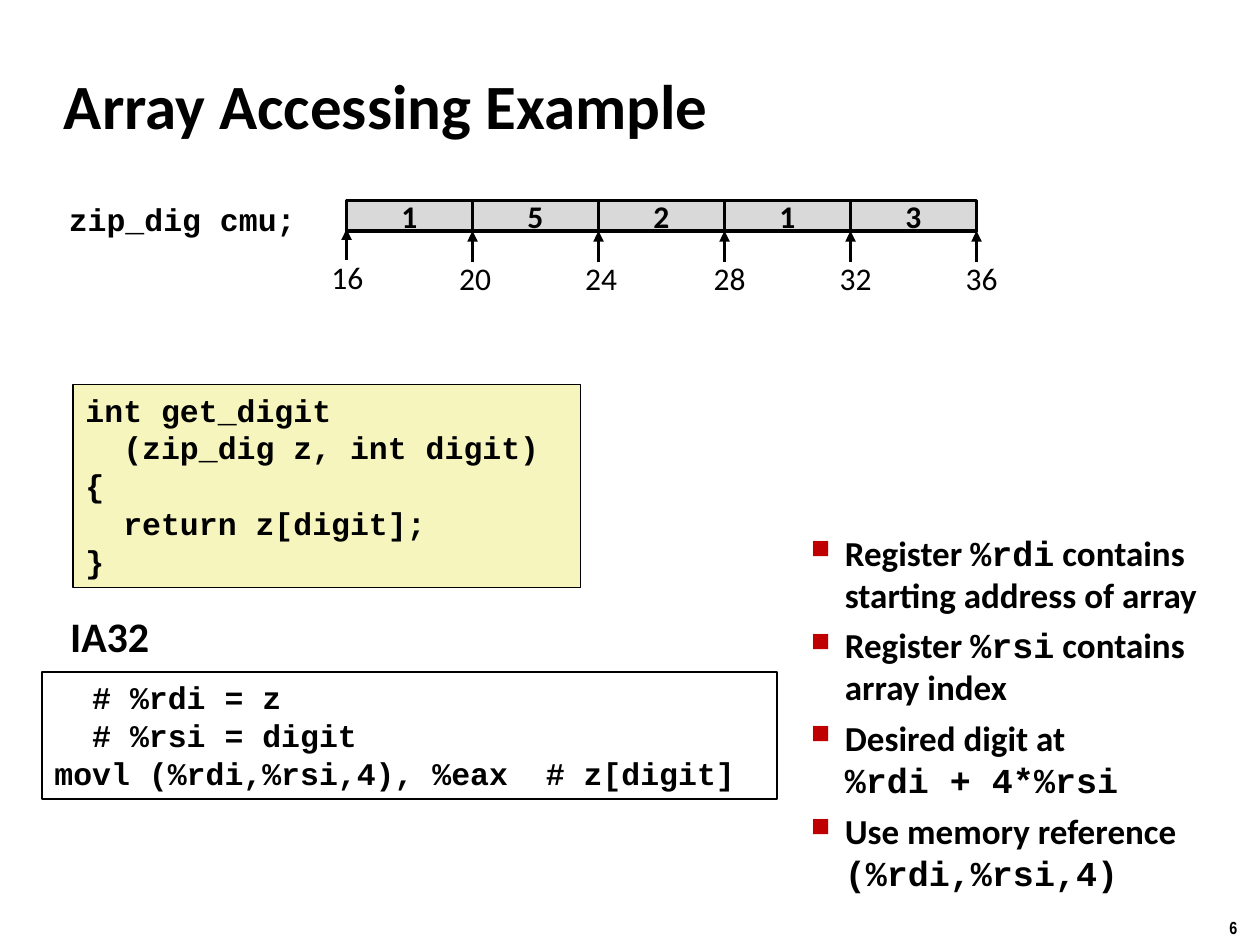
from lxml.etree import SubElement
from pptx import Presentation
from pptx.dml.color import RGBColor
from pptx.enum.shapes import MSO_CONNECTOR, MSO_SHAPE
from pptx.enum.text import MSO_ANCHOR, PP_ALIGN
from pptx.oxml.ns import qn
from pptx.util import Pt

BLACK = RGBColor(0x00, 0x00, 0x00)
RED = RGBColor(0xC0, 0x00, 0x00)
GRAY = RGBColor(0xD9, 0xD9, 0xD9)
CREAM = RGBColor(0xF6, 0xF5, 0xBD)
SANS = "Calibri"
MONO = "Courier New"
NARROW = "Arial Narrow"


class Deck:
    def __init__(self, width, height):
        self.presentation = Presentation()
        self.presentation.slide_width = Pt(width)
        self.presentation.slide_height = Pt(height)
        self.slide = self.presentation.slides.add_slide(self.presentation.slide_layouts[6])

    def fill_frame(self, frame, lines, size, font=SANS, bold=True, align=PP_ALIGN.LEFT, anchor=MSO_ANCHOR.TOP):
        frame.word_wrap = True
        frame.vertical_anchor = anchor
        for index, line in enumerate(lines):
            paragraph = frame.paragraphs[0] if index == 0 else frame.add_paragraph()
            paragraph.alignment = align
            self.add_run(paragraph, line, size, font, bold)

    def add_run(self, paragraph, words, size, font, bold=True):
        run = paragraph.add_run()
        run.text = words
        run.font.size = Pt(size)
        run.font.name = font
        run.font.bold = bold
        run.font.color.rgb = BLACK

    def text(self, box, lines, size, **style):
        label = self.slide.shapes.add_textbox(*map(Pt, box))
        self.fill_frame(label.text_frame, lines, size, **style)

    def panel(self, box, lines, fill=None, line_width=1, **style):
        panel = self.slide.shapes.add_shape(MSO_SHAPE.RECTANGLE, *map(Pt, box))
        panel.shadow.inherit = False
        if fill is None:
            panel.fill.background()
        else:
            panel.fill.solid()
            panel.fill.fore_color.rgb = fill
        panel.line.color.rgb = BLACK
        panel.line.width = Pt(line_width)
        self.fill_frame(panel.text_frame, lines, 18, **style)

    def up_arrow(self, x, bottom, length):
        arrow = self.slide.shapes.add_connector(
            MSO_CONNECTOR.STRAIGHT, Pt(x), Pt(bottom), Pt(x), Pt(bottom - length))
        arrow.line.color.rgb = BLACK
        arrow.line.width = Pt(2)
        properties = arrow._element.spPr
        SubElement(properties.find(qn("a:ln")), qn("a:tailEnd"), type="triangle")
        SubElement(properties, qn("a:effectLst"))

    def bullets(self, box, items, size):
        frame = self.slide.shapes.add_textbox(*map(Pt, box)).text_frame
        frame.word_wrap = True
        for index, item in enumerate(items):
            paragraph = frame.paragraphs[0] if index == 0 else frame.add_paragraph()
            paragraph.space_before = Pt(size / 4)
            properties = paragraph._p.get_or_add_pPr()
            properties.set("marL", str(int(Pt(31.7))))
            properties.set("indent", str(int(Pt(-19.4))))
            color = SubElement(properties, qn("a:buClr"))
            SubElement(color, qn("a:srgbClr"), val=str(RED))
            SubElement(properties, qn("a:buSzPct"), val="75000")
            SubElement(properties, qn("a:buChar"), char="■")
            for words, font in item:
                if words == "\n":
                    paragraph.add_line_break()
                else:
                    self.add_run(paragraph, words, size, font)


def main():
    deck = Deck(720, 540)
    deck.text((695.5, 520.5, 24.5, 19.5), ["6"], 10, font=NARROW)
    deck.text((29.5, 29.5, 597.5, 60), ["Array Accessing Example"], 36, anchor=MSO_ANCHOR.MIDDLE)

    deck.bullets((444, 300, 270, 235), [
        [("Register ", SANS), ("%rdi", MONO), (" contains starting address of array", SANS)],
        [("Register ", SANS), ("%rsi", MONO), (" contains ", SANS), ("\n", SANS), ("array index", SANS)],
        [("Desired digit at ", SANS), ("\n", SANS), ("%rdi + 4*%rsi", MONO)],
        [("Use memory reference ", SANS), ("(%rdi,%rsi,4)", MONO)],
    ], 20)

    deck.panel((41.75, 219.75, 290, 116), [
        "int get_digit",
        "  (zip_dig z, int digit)",
        "{",
        "  return z[digit];",
        "}",
    ], fill=CREAM, font=MONO)
    deck.panel((24, 384, 420, 72.5), [
        "  # %rdi = z",
        "  # %rsi = digit",
        "movl (%rdi,%rsi,4), %eax  # z[digit]",
    ], font=MONO)
    deck.text((33, 345.5, 60, 36), ["IA32"], 24)
    deck.text((24, 111, 152, 29), ["zip_dig cmu;"], 18, font=MONO, align=PP_ALIGN.RIGHT)

    array_left, array_top, cell_width, cell_height = 198, 114.5, 72, 17.5
    digits = [1, 5, 2, 1, 3]
    for index, digit in enumerate(digits):
        deck.panel((array_left + index * cell_width, array_top, cell_width, cell_height), [str(digit)],
                   fill=GRAY, line_width=2, align=PP_ALIGN.CENTER, anchor=MSO_ANCHOR.MIDDLE)

    label_shifts = [0.5, 1.5, 1.5, 3, 3, 3]
    for index, shift in enumerate(label_shifts):
        edge = array_left + index * cell_width
        drop = 0 if index == 0 else 1
        deck.text((edge + shift - 39, 143.75 + drop, 78, 29), [str(16 + 4 * index)], 18,
                  bold=False, align=PP_ALIGN.CENTER)
        deck.up_arrow(edge, 148.5 + drop, 17.5)

    deck.presentation.save("out.pptx")


if __name__ == "__main__":
    main()
